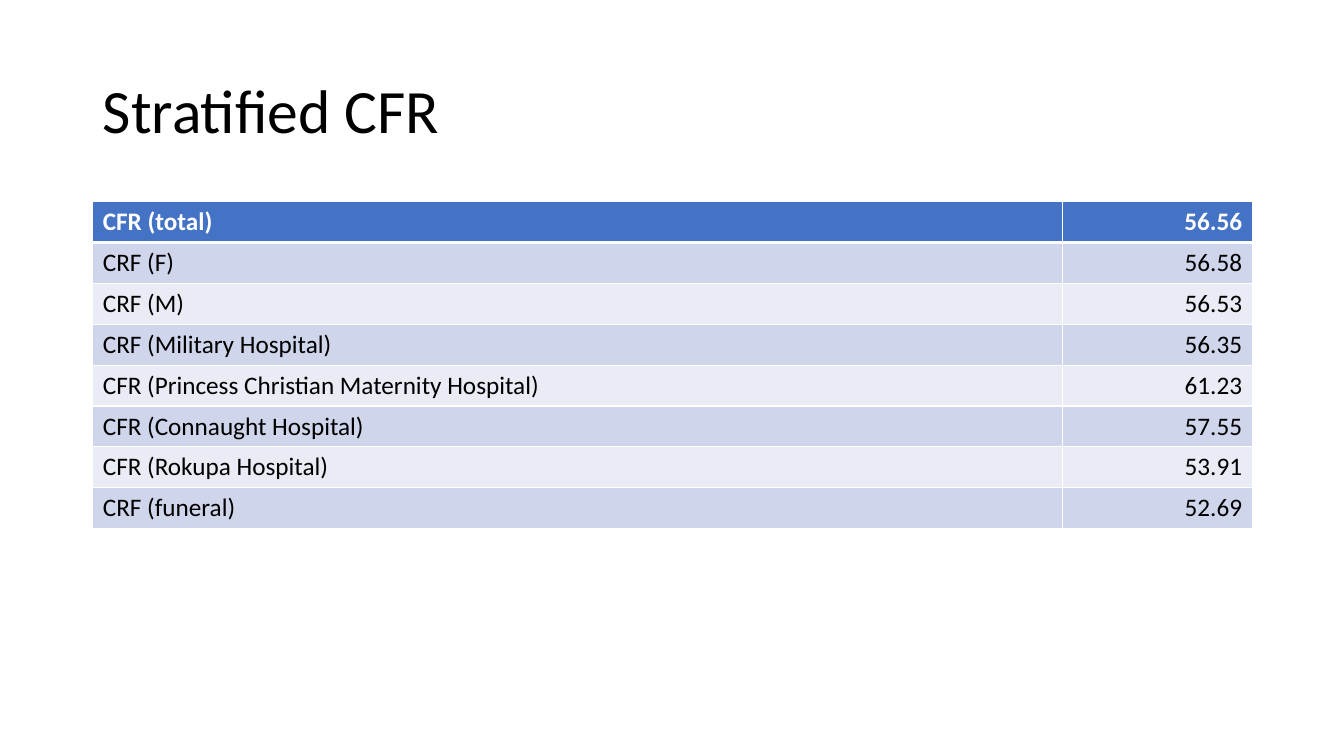
from pptx import Presentation
from pptx.dml.color import RGBColor
from pptx.enum.text import MSO_ANCHOR as Anchor, PP_ALIGN as Align
from pptx.oxml import parse_xml
from pptx.oxml.ns import nsdecls
from pptx.util import Inches, Pt

# Content
TITLE = "Stratified CFR"
RATES = [
    ("CFR (total)", "56.56"),
    ("CRF (F)", "56.58"),
    ("CRF (M)", "56.53"),
    ("CRF (Military Hospital)", "56.35"),
    ("CFR (Princess Christian Maternity Hospital)", "61.23"),
    ("CFR (Connaught Hospital)\u00a0", "57.55"),
    ("CFR (Rokupa Hospital)", "53.91"),
    ("CRF (funeral)\u00a0", "52.69"),
]

# Layout and colours
LEFT, WIDTH = 0.92, 11.5
COLUMN_WIDTHS = (9.62, 1.88)
ROW_HEIGHT = 0.4
FONT = "Calibri"
WHITE, BLACK, HEADER = "FFFFFF", "000000", "4472C4"
BANDS = ("E9EBF5", "CFD5EA")


def color(value):
    return RGBColor.from_string(value)


def add_text(para, text, size, text_color, bold=False):
    span = para.add_run()
    span.text = text
    span.font.name = FONT
    span.font.size = Pt(size)
    span.font.bold = bold
    span.font.color.rgb = color(text_color)


def add_borders(cell, top, bottom):
    widths = {"lnL": 1, "lnR": 1, "lnT": top, "lnB": bottom}
    for side, width in widths.items():
        cell._tc.get_or_add_tcPr().append(parse_xml(
            f'<a:{side} {nsdecls("a")} w="{Pt(width)}"><a:solidFill>'
            f'<a:srgbClr val="{WHITE}"/></a:solidFill></a:{side}>'))


deck = Presentation()
deck.slide_width, deck.slide_height = Inches(13.33), Inches(7.5)
page = deck.slides.add_slide(deck.slide_layouts[5])

# Title
title = page.shapes.title
title.left, title.top = Inches(LEFT), Inches(0.4)
title.width, title.height = Inches(WIDTH), Inches(1.45)
title.text_frame.vertical_anchor = Anchor.MIDDLE
para = title.text_frame.paragraphs[0]
para.alignment = Align.LEFT
para.line_spacing = 0.9
add_text(para, TITLE, 44, BLACK)

# Table of fatality rates
table = page.shapes.add_table(
    len(RATES), len(COLUMN_WIDTHS), Inches(LEFT), Inches(2),
    Inches(WIDTH), Inches(ROW_HEIGHT * len(RATES))).table
for column, width in zip(table.columns, COLUMN_WIDTHS):
    column.width = Inches(width)

for row, values in enumerate(RATES):
    is_header = row == 0
    for col, (text, align) in enumerate(zip(values, (Align.LEFT, Align.RIGHT))):
        cell = table.cell(row, col)
        cell.vertical_anchor = Anchor.MIDDLE
        add_borders(cell, 3 if row == 1 else 1, 3 if is_header else 1)
        cell.fill.solid()
        cell.fill.fore_color.rgb = color(HEADER if is_header else BANDS[row % 2])
        para = cell.text_frame.paragraphs[0]
        para.alignment = align
        add_text(para, text, 18, WHITE if is_header else BLACK, is_header)

deck.save("out.pptx")
